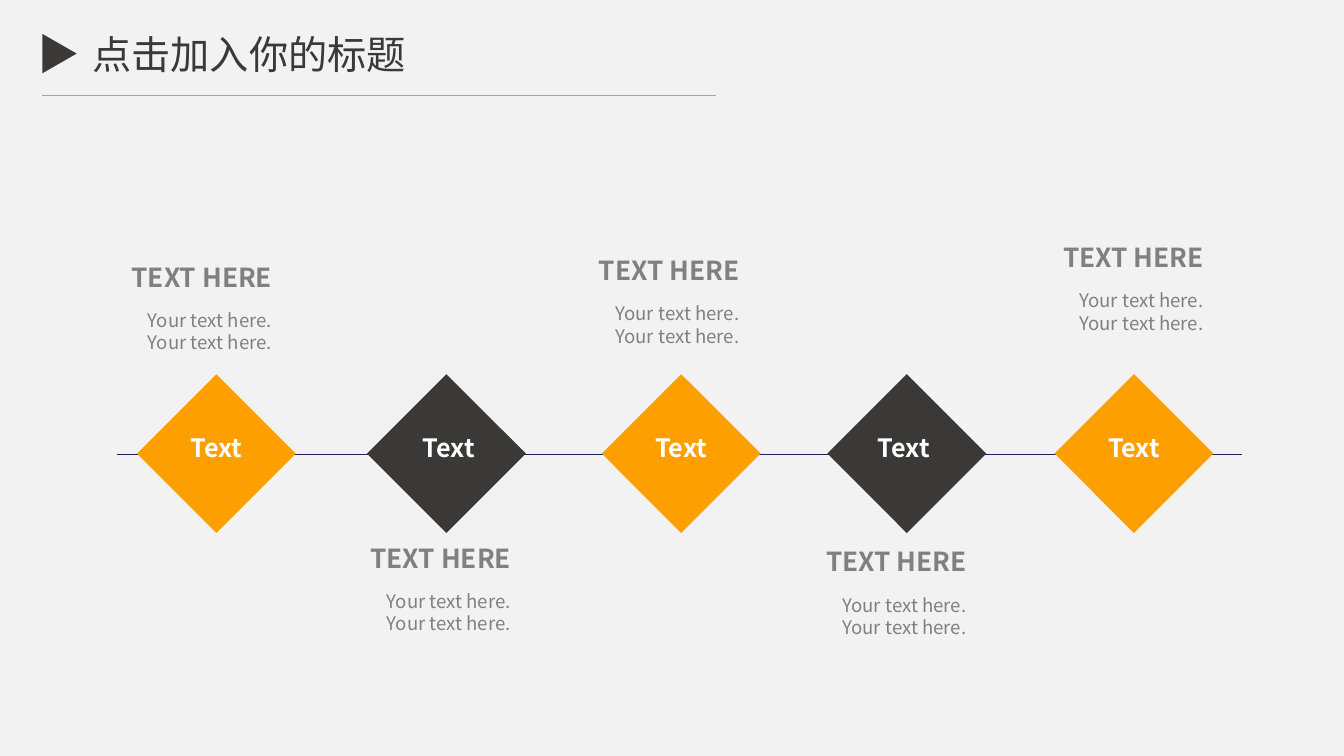
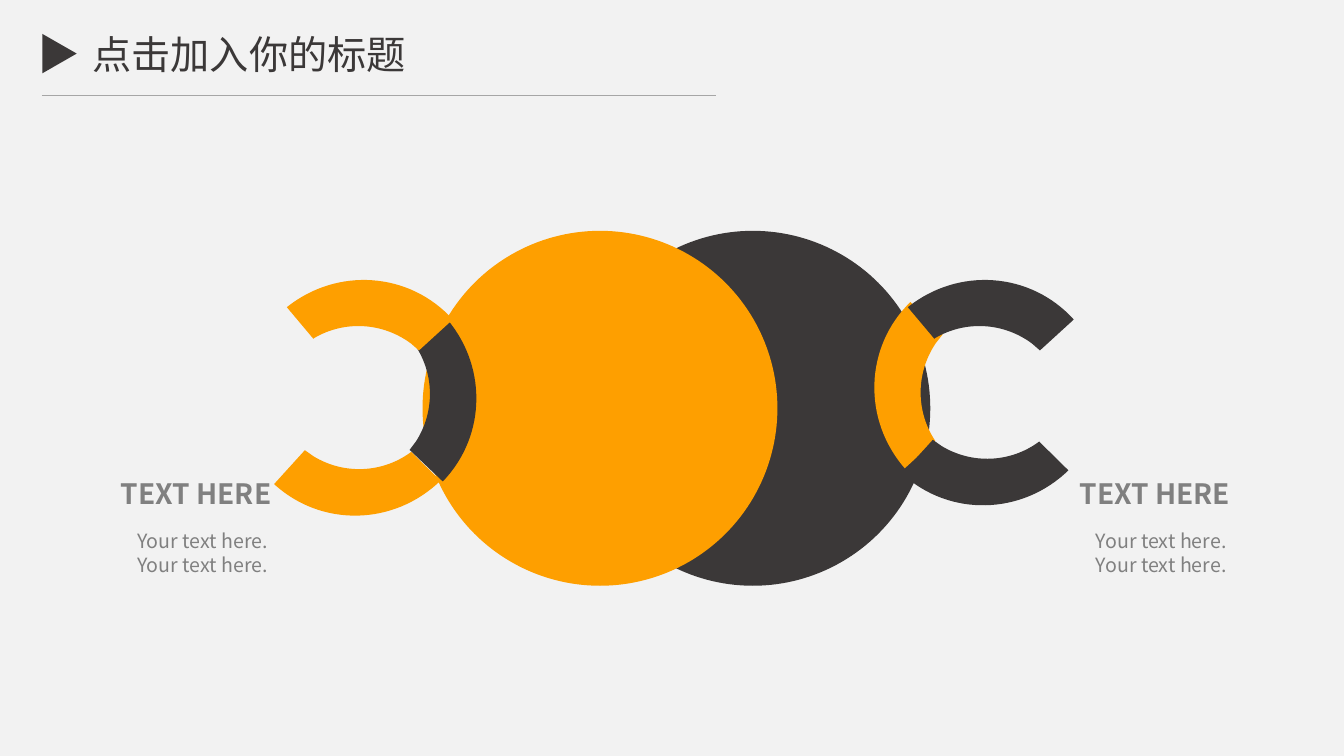
from dataclasses import dataclass

from pptx import Presentation
from pptx.dml.color import RGBColor
from pptx.enum.shapes import MSO_CONNECTOR, MSO_SHAPE
from pptx.enum.text import MSO_ANCHOR, MSO_AUTO_SIZE, PP_ALIGN
from pptx.oxml.ns import qn
from pptx.slide import Slide
from pptx.util import Emu, Inches, Pt

Point = tuple[float, float]

# Square grid: 160 columns by 90 rows on a 13.33 x 7.5 inch slide.
COLS, ROWS = 160, 90
CELL = Inches(7.5) / ROWS


@dataclass(frozen=True)
class Theme:
    font: str = "Noto Sans CJK SC"
    back: str = "F2F2F2"
    dark: str = "3B3838"
    accent: str = "FE9F00"
    rule: str = "A6A6A6"
    axis: str = "1B2153"
    grey: str = "808080"
    white: str = "FFFFFF"
    title: float = 28
    label: float = 18


@dataclass(frozen=True)
class CaptionStyle:
    heading: float
    body: float
    drop: float


@dataclass(frozen=True)
class Step:
    center: float
    color: str
    caption: Point
    nudge: float = 0


@dataclass(frozen=True)
class Arc:
    center: Point
    turn: float
    color: str


TH = Theme()
TITLE = "点击加入你的标题"
SMALL = CaptionStyle(heading=18.7, body=13.3, drop=5.68)
LARGE = CaptionStyle(heading=20, body=14, drop=6.28)

STEPS = (
    Step(25.75, TH.accent, (14.48, 30.48)),
    Step(53.15, TH.dark, (42.92, 63.92), 0.28),
    Step(81.1, TH.accent, (70.13, 29.72)),
    Step(107.95, TH.dark, (97.16, 64.38), -0.35),
    Step(135, TH.accent, (125.38, 28.18)),
)
DIAMOND, AXIS_ROW = 18.9, 54.1

CIRCLE, CIRCLE_TOP = 42.25, 27.48
CIRCLES = ((68.5, TH.dark), (50.3, TH.accent))
ARCS = (
    Arc((52.68, 47.35), 133.6, TH.dark),
    Arc((42.6, 57.35), 222.2, TH.accent),
    Arc((43.95, 37.38), 47.6, TH.accent),
    Arc((108.12, 45.92), 315.3, TH.accent),
    Arc((117.36, 56.12), 222.2, TH.dark),
    Arc((117.88, 37.38), 47.6, TH.dark),
)
ARC_CAPTIONS = ((13.2, 56.12), (127.34, 56.12))

# Outline about its centre: each step is a line (1 point) or a curve (3 points).
ARC_START = (7.2, -6.9)
ARC_STEPS = (
    ((7.2, -1.45),),
    ((5.95, -1.3),),
    ((1.8, -0.5), (-1.45, 2.7), (-2.3, 6.8)),
    ((-2.3, 6.9),),
    ((-7.2, 6.7),),
    ((-6.7, -1), (-0.45, -6.95), ARC_START),
)


def g(cells: float) -> Emu:
    """Grid cells as a slide length."""
    return Emu(round(cells * CELL))


def rgb(color: str) -> RGBColor:
    return RGBColor.from_string(color)


def paint(sp, color: str) -> None:
    sp.shadow.inherit = False
    sp.fill.solid()
    sp.fill.fore_color.rgb = rgb(color)
    sp.line.fill.background()


def add_run(p, text: str, size: float, color: str, bold: bool = False) -> None:
    r = p.add_run()
    r.text = text
    r.font.size, r.font.bold, r.font.name = Pt(size), bold, TH.font
    r.font.color.rgb = rgb(color)
    ea = r.font._element.makeelement(qn("a:ea"), {"typeface": TH.font})
    r.font._element.find(qn("a:latin")).addnext(ea)


def add_preset(s: Slide, kind: MSO_SHAPE, x: float, y: float,
               w: float, h: float, color: str):
    sp = s.shapes.add_shape(kind, g(x), g(y), g(w), g(h))
    paint(sp, color)
    return sp


def add_rule(s: Slide, x1: float, x2: float, y: float, color: str, width: float) -> None:
    line = s.shapes.add_connector(MSO_CONNECTOR.STRAIGHT, g(x1), g(y), g(x2), g(y))
    line.line.color.rgb, line.line.width = rgb(color), Pt(width)
    sp_pr = line._element.spPr
    sp_pr.append(sp_pr.makeelement(qn("a:effectLst"), {}))


def add_text(s: Slide, x: float, y: float, w: float, h: float, lines: tuple[str, ...],
             size: float, color: str, bold: bool = False,
             align: PP_ALIGN = PP_ALIGN.LEFT, wrap: bool = True) -> None:
    tf = s.shapes.add_textbox(g(x), g(y), g(w), g(h)).text_frame
    tf.word_wrap = wrap
    tf.auto_size = MSO_AUTO_SIZE.SHAPE_TO_FIT_TEXT
    for i, text in enumerate(lines):
        p = tf.add_paragraph() if i else tf.paragraphs[0]
        p.alignment = align
        add_run(p, text, size, color, bold)


def add_caption(s: Slide, at: Point, style: CaptionStyle) -> None:
    x, y = at
    add_text(s, x + 1.94, y + style.drop, 28.9, 6.6, ("Your text here.",) * 2,
             style.body, TH.grey)
    add_text(s, x, y, 28.9, 5, ("TEXT HERE",), style.heading, TH.grey, bold=True)


def bend(segment, points: list[Point]) -> None:
    """Turn a straight path segment into a cubic curve through path points."""
    curve = segment.makeelement(qn("a:cubicBezTo"), {})
    for x, y in points:
        curve.append(curve.makeelement(qn("a:pt"), {"x": str(x), "y": str(y)}))
    segment.getparent().replace(segment, curve)


def add_arc(s: Slide, arc: Arc) -> None:
    cx, cy = arc.center

    def place(pt: Point) -> Point:
        return g(cx + pt[0]), g(cy + pt[1])

    fb = s.shapes.build_freeform(*place(ARC_START))
    fb.add_line_segments([place(step[-1]) for step in ARC_STEPS], close=True)
    sp = fb.convert_to_shape()
    segments = list(sp._element.iter(qn("a:lnTo")))
    for segment, step in zip(segments, ARC_STEPS):
        if len(step) == 3:
            bend(segment, [(x - sp.left, y - sp.top) for x, y in map(place, step)])
    sp.rotation = arc.turn
    paint(sp, arc.color)


def new_slide(prs) -> Slide:
    """Add a slide with the shared title, marker and rule."""
    s = prs.slides.add_slide(prs.slide_layouts.get_by_name("Title Only"))
    sp = s.shapes.title
    sp.left, sp.top, sp.width, sp.height = g(7.1), g(3.6), g(45.1), g(5.6)
    tf = sp.text_frame
    tf.margin_left = tf.margin_right = tf.margin_top = tf.margin_bottom = 0
    tf.vertical_anchor = MSO_ANCHOR.TOP
    tf.word_wrap = True
    tf.auto_size = MSO_AUTO_SIZE.SHAPE_TO_FIT_TEXT
    p = tf.paragraphs[0]
    p.alignment = PP_ALIGN.CENTER
    add_run(p, TITLE, TH.title, TH.dark)
    marker = add_preset(s, MSO_SHAPE.ISOSCELES_TRIANGLE, 4.73, 4.33, 4.7, 4.1, TH.dark)
    marker.rotation = 90
    add_rule(s, 5, 85.2, 11.4, TH.rule, 0.5)
    return s


def build_timeline(prs) -> None:
    s = new_slide(prs)
    add_rule(s, 13.9, 147.85, AXIS_ROW, TH.axis, 0.75)
    for step in STEPS:
        add_preset(s, MSO_SHAPE.DIAMOND, step.center - DIAMOND / 2,
                   AXIS_ROW - DIAMOND / 2 - 0.1, DIAMOND, DIAMOND, step.color)
    for step in STEPS:
        add_text(s, step.center + step.nudge - 5.45, 50.9, 10.9, 6, ("Text",), TH.label,
                 TH.white, bold=True, align=PP_ALIGN.CENTER, wrap=False)
        add_caption(s, step.caption, SMALL)


def build_circles(prs) -> None:
    s = new_slide(prs)
    for x, color in CIRCLES:
        add_preset(s, MSO_SHAPE.OVAL, x, CIRCLE_TOP, CIRCLE, CIRCLE, color)
    for arc in ARCS:
        add_arc(s, arc)
    for at in ARC_CAPTIONS:
        add_caption(s, at, LARGE)


def main() -> None:
    prs = Presentation()
    prs.slide_width, prs.slide_height = g(COLS), g(ROWS)
    fill = prs.slide_master.background.fill
    fill.solid()
    fill.fore_color.rgb = rgb(TH.back)
    build_timeline(prs)
    build_circles(prs)
    prs.save("out.pptx")


if __name__ == "__main__":
    main()
